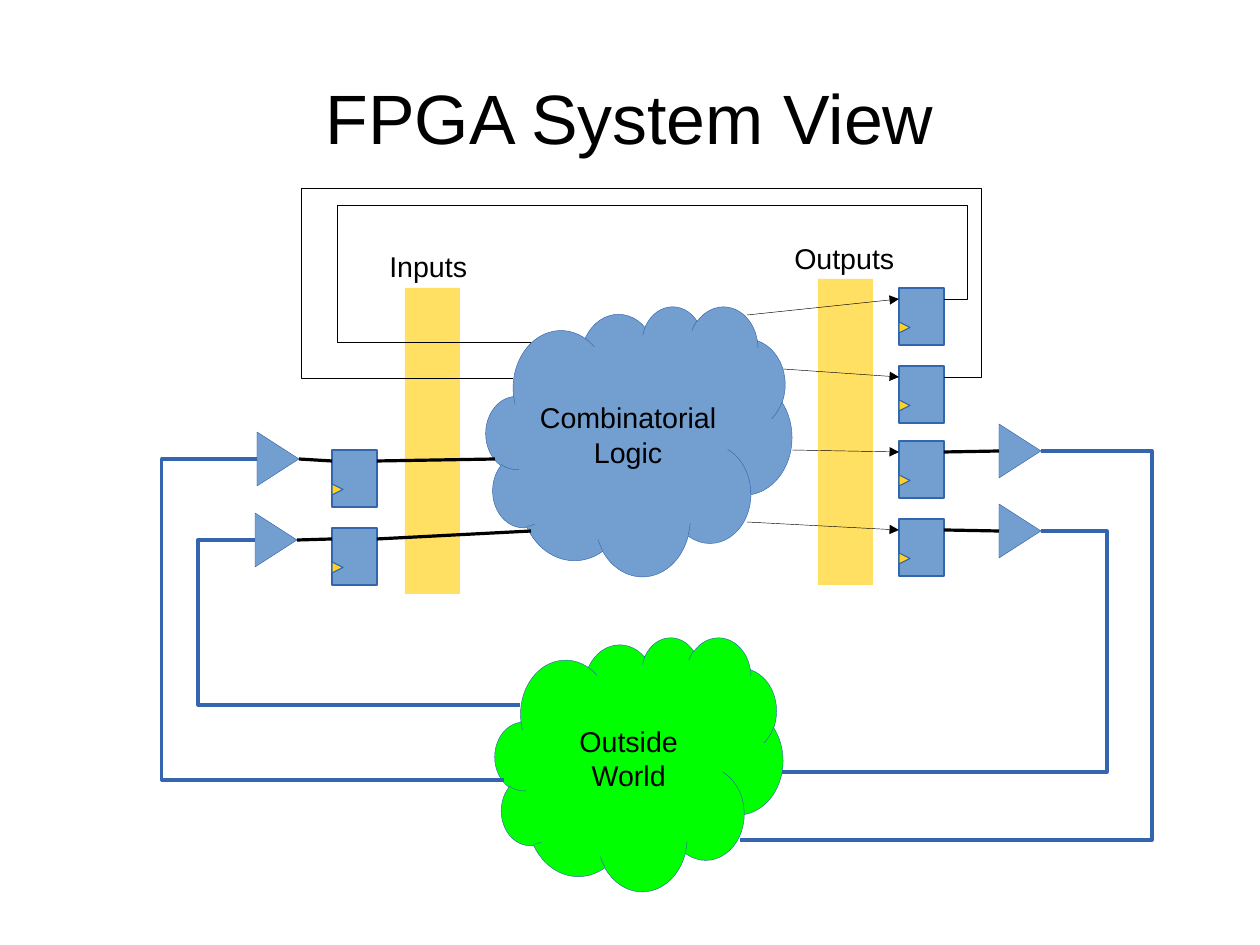
import pptx
import pptx.util
import pptx.dml.color
import pptx.enum.shapes
import pptx.enum.text
import pptx.oxml.ns
from lxml import etree

RGB = pptx.dml.color.RGBColor
SHAPE = pptx.enum.shapes.MSO_SHAPE
WIRE = pptx.enum.shapes.MSO_CONNECTOR
ALIGN = pptx.enum.text.PP_ALIGN
ANCHOR = pptx.enum.text.MSO_ANCHOR
Pt = pptx.util.Pt
qn = pptx.oxml.ns.qn

SCALE = 8000  # EMU per px
BLACK = RGB(0x00, 0x00, 0x00)
BLUE = RGB(0x72, 0x9F, 0xCF)
EDGE = RGB(0x34, 0x65, 0xAF)
GOLD = RGB(0xFF, 0xD3, 0x20)
GREEN = RGB(0x00, 0xFF, 0x00)
FONT = "Arial"
HAIR, THIN = 0, 0.28
FLOP_W, FLOP_H = 45, 57
PORT = 11  # from the top of a flip-flop to its data pins
BUF_W, BUF_H = 42, 54


def px(*nums):
    return [pptx.util.Emu(num * SCALE) for num in nums]


def write(frame, lines, size, align):
    frame.text = "\n".join(lines)
    for para in frame.paragraphs:
        para.alignment = align
        para.font.size = Pt(size)
        para.font.name = FONT
        para.font.color.rgb = BLACK


def add_title(slide, text):
    title = slide.shapes.title
    title.left, title.top, title.width, title.height = px(63, 38, 1134, 158)
    frame = title.text_frame
    frame.margin_left = frame.margin_right = 0
    frame.margin_top = frame.margin_bottom = 0
    frame.vertical_anchor = ANCHOR.MIDDLE
    write(frame, [text], 44, ALIGN.CENTER)


def add_label(slide, text, *box):
    frame = slide.shapes.add_textbox(*px(*box)).text_frame
    frame.word_wrap = False
    write(frame, [text], 18, ALIGN.LEFT)


def add_form(slide, kind, box, fill, width=HAIR):
    form = slide.shapes.add_shape(kind, *px(*box))
    form.shadow.inherit = False
    form.fill.solid()
    form.fill.fore_color.rgb = fill
    form.line.color.rgb = EDGE
    form.line.width = Pt(width)
    return form


def add_band(slide, left, top):
    """Add a see-through strip that marks a group of signals."""
    band = add_form(slide, SHAPE.RECTANGLE, (left, top, 55, 306), GOLD)
    band.line.fill.background()
    tint = band.fill._xPr.find(qn("a:solidFill"))[0]
    etree.SubElement(tint, qn("a:alpha"), val="70000")


def add_wedge(slide, left, mid, width, height, fill, line):
    """Add a triangle that points right, centred on the height mid."""
    box = (left + (width - height) // 2, mid - width // 2, height, width)
    wedge = add_form(slide, SHAPE.ISOSCELES_TRIANGLE, box, fill, line)
    wedge.rotation = 90


def add_flop(slide, left, top):
    """Add a flip-flop with its clock mark."""
    add_form(slide, SHAPE.RECTANGLE, (left, top, FLOP_W, FLOP_H), BLUE)
    add_wedge(slide, left, top + 39, 11, 11, GOLD, HAIR)


def add_cloud(slide, lines, fill, *box):
    cloud = add_form(slide, SHAPE.CLOUD, box, fill, THIN)
    frame = cloud.text_frame
    frame.word_wrap = False
    frame.vertical_anchor = ANCHOR.MIDDLE
    write(frame, lines, 18, ALIGN.CENTER)


def add_wire(slide, start, end, color=BLACK, width=HAIR, kind=WIRE.STRAIGHT):
    wire = slide.shapes.add_connector(kind, *px(*start, *end))
    wire.line.color.rgb = color
    wire.line.width = Pt(width)
    etree.SubElement(wire._element.spPr, qn("a:effectLst"))
    return wire


def add_arrow(slide, start, end):
    wire = add_wire(slide, start, end, width=THIN)
    etree.SubElement(wire.line._ln, qn("a:tailEnd"), type="triangle")


def add_bend(slide, start, via, end, color, width):
    """Add an elbow wire whose upright part stands at x = via."""
    wire = add_wire(slide, start, end, color, width, WIRE.ELBOW)
    ratio = round(100000 * (via - start[0]) / (end[0] - start[0]))
    geom = wire._element.spPr.find(qn("a:prstGeom"))
    guides = geom.find(qn("a:avLst"))
    if guides is None:
        guides = etree.SubElement(geom, qn("a:avLst"))
    etree.SubElement(guides, qn("a:gd"), name="adj1", fmla=f"val {ratio}")


def add_inputs(slide):
    flop_x = 332
    for top, buf_x, mid, entry, via, world in (
        (450, 257, 459, (495, 459), 162, (504, 780)),
        (528, 255, 540, (531, 531), 198, (520, 705)),
    ):
        port = top + PORT
        add_flop(slide, flop_x, top)
        add_wedge(slide, buf_x, mid, BUF_W, BUF_H, BLUE, THIN)
        add_wire(slide, (buf_x + BUF_W, mid), (flop_x, port))
        add_wire(slide, (flop_x + FLOP_W, port), entry)
        add_bend(slide, world, via, (buf_x, mid), EDGE, HAIR)


def add_outputs(slide):
    flop_x, buf_x = 899, 999
    pin = flop_x + FLOP_W
    for top, leave in (
        (288, (747, 315)), (366, (783, 369)),
        (441, (792, 450)), (519, (747, 522)),
    ):
        add_flop(slide, flop_x, top)
        add_arrow(slide, leave, (flop_x, top + PORT))

    for top, via, corner, entry in (
        (288, 967, (337, 205), (531, 342)),
        (366, 981, (301, 188), (513, 378)),
    ):
        add_bend(slide, (pin, top + PORT), via, corner, BLACK, THIN)
        add_bend(slide, corner, corner[0], entry, BLACK, THIN)

    for top, mid, via, world in (
        (441, 451, 1152, (740, 840)),
        (519, 531, 1107, (782, 772)),
    ):
        add_wedge(slide, buf_x, mid, BUF_W, BUF_H, BLUE, THIN)
        add_wire(slide, (pin, top + PORT), (buf_x, mid))
        add_bend(slide, (buf_x + BUF_W, mid), via, world, EDGE, HAIR)


def main():
    deck = pptx.Presentation()
    deck.slide_width, deck.slide_height = px(1260, 945)
    slide = deck.slides.add_slide(deck.slide_layouts[5])
    add_title(slide, "FPGA System View")
    add_band(slide, 818, 279)
    add_band(slide, 405, 288)
    add_cloud(slide, ["Combinatorial", "Logic"], BLUE, 486, 306, 306, 270)
    add_cloud(slide, ["Outside", "World"], GREEN, 495, 637, 288, 254)
    add_label(slide, "Inputs", 378, 243, 102, 43)
    add_label(slide, "Outputs", 783, 235, 123, 43)
    add_inputs(slide)
    add_outputs(slide)
    deck.save("out.pptx")


if __name__ == "__main__":
    main()
